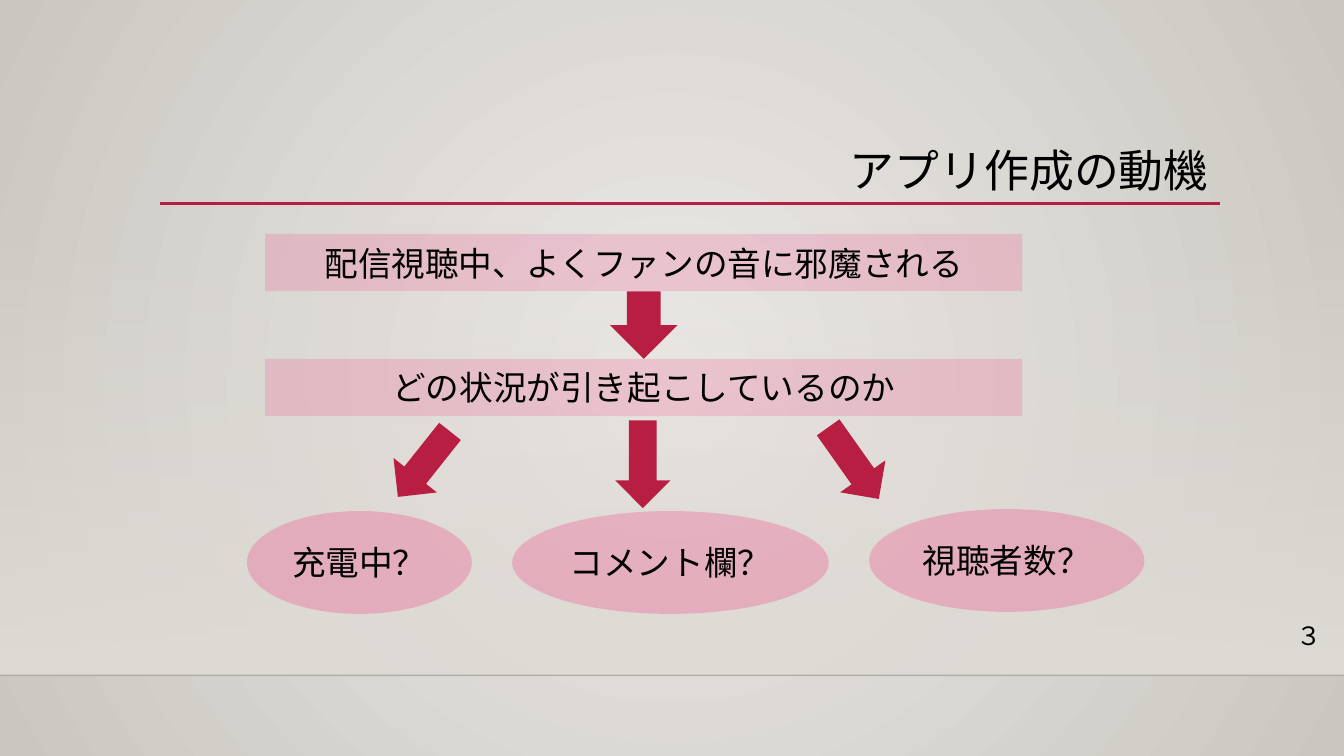
from dataclasses import dataclass

from lxml.etree import SubElement
from pptx import Presentation
from pptx.dml.color import RGBColor
from pptx.enum.shapes import MSO_CONNECTOR, MSO_SHAPE
from pptx.enum.text import MSO_ANCHOR, MSO_AUTO_SIZE, PP_ALIGN
from pptx.oxml.ns import qn
from pptx.util import Inches, Pt


@dataclass(frozen=True)
class Theme:
    font: str = "Calibri"
    ink: str = "000000"
    accent: str = "B71E42"
    pink: str = "F82174"
    glow: str = "ECEAE7"
    edge: str = "CAC7C1"
    wall: str = "DFDBD5"
    floor: str = "000001"
    title_size: int = 32
    body_size: int = 24
    number_size: int = 18


theme = Theme()
WIDTH, HEIGHT = 13.33, 7.5
FLOOR_TOP = 6.7


def write(shape, text, size, align, anchor=MSO_ANCHOR.MIDDLE):
    frame = shape.text_frame
    frame.vertical_anchor = anchor
    para = frame.paragraphs[0]
    para.alignment = align
    span = para.add_run()
    span.text = text
    for name, value in {"name": theme.font, "size": Pt(size)}.items():
        setattr(span.font, name, value)
    span.font.color.rgb = RGBColor.from_string(theme.ink)
    return para


def add_solid(page, kind, frame, color, opacity=100):
    """Add a borderless, shadowless shape; opacity is a percentage."""
    shape = page.shapes.add_shape(kind, *map(Inches, frame))
    shape.shadow.inherit = False
    shape.line.fill.background()
    shape.fill.solid()
    shape.fill.fore_color.rgb = RGBColor.from_string(color)
    if opacity < 100:
        tint = shape.element.spPr.find(".//" + qn("a:srgbClr"))
        SubElement(tint, qn("a:alpha"), val=str(opacity * 1000))
    return shape


deck = Presentation()
deck.slide_width, deck.slide_height = Inches(WIDTH), Inches(HEIGHT)
page = deck.slides.add_slide(deck.slide_layouts[5])

# Backdrop: radial glow, fading wall and floor line
backdrop = page.background.fill
backdrop.gradient()
for stop, color in zip(backdrop.gradient_stops, (theme.glow, theme.edge)):
    stop.color.rgb = RGBColor.from_string(color)
linear = page.element.find(".//" + qn("a:lin"))
gradient = linear.getparent()
gradient.remove(linear)
circle = SubElement(gradient, qn("a:path"), path="circle")
SubElement(circle, qn("a:fillToRect"), {side: "50000" for side in "ltrb"})

wall = add_solid(page, MSO_SHAPE.RECTANGLE, (0, 2.21, WIDTH, FLOOR_TOP - 2.21), theme.wall)
wall.fill.gradient()
wall.fill.gradient_angle = 270
for stop in wall.fill.gradient_stops:
    stop.color.rgb = RGBColor.from_string(theme.wall)
top_tint = wall.element.spPr.find(".//" + qn("a:srgbClr"))
SubElement(top_tint, qn("a:alpha"), val="0")

for left, right, y, color, weight, opacity in (
    (0, WIDTH, FLOOR_TOP, theme.floor, 1, 20),
    (1.59, 12.1, 2.02, theme.accent, 2.5, 100),
):
    rule = page.shapes.add_connector(
        MSO_CONNECTOR.STRAIGHT, Inches(left), Inches(y), Inches(right), Inches(y)
    )
    rule.line.color.rgb = RGBColor.from_string(color)
    rule.line.width = Pt(weight)
    tint = rule.element.spPr.find(".//" + qn("a:srgbClr"))
    SubElement(tint, qn("a:alpha"), val=str(opacity * 1000))
    SubElement(rule.element.spPr, qn("a:effectLst"))

# Title
title = page.shapes.title
title_frame = {"left": 1.59, "top": 1.41, "width": 10.5, "height": 0.61}
for name, value in title_frame.items():
    setattr(title, name, Inches(value))
title.text_frame.auto_size = MSO_AUTO_SIZE.NONE
heading = write(title, "アプリ作成の動機", theme.title_size, PP_ALIGN.RIGHT)
heading.line_spacing = 0.9

# Problem and question bars
BAR_LEFT, BAR_TOP, BAR_WIDTH, BAR_HEIGHT, BAR_STEP = 2.63, 2.32, 7.51, 0.57, 1.24
bars = ("配信視聴中、よくファンの音に邪魔される", "どの状況が引き起こしているのか")
for row, text in enumerate(bars):
    frame = (BAR_LEFT, BAR_TOP + row * BAR_STEP, BAR_WIDTH, BAR_HEIGHT)
    bar = add_solid(page, MSO_SHAPE.RECTANGLE, frame, theme.pink, 17)
    write(bar, text, theme.body_size, PP_ALIGN.CENTER)

# Candidate causes
for text, left, top, width in (
    ("充電中？", 2.45, 5.07, 2.23),
    ("コメント欄？", 5.08, 5.07, 3.14),
    ("視聴者数？", 8.62, 5.05, 2.73),
):
    cause = add_solid(page, MSO_SHAPE.OVAL, (left, top, width, 1.02), theme.pink, 24)
    write(cause, text, theme.body_size, PP_ALIGN.CENTER)

# Arrows: one between the bars, three fanning out to the causes
for left, top, width, height, turn in (
    (6.05, BAR_TOP + BAR_HEIGHT, 0.67, BAR_STEP - BAR_HEIGHT, 0),
    (3.93, 4.19, 0.55, 0.83, 38.5),
    (6.1, 4.17, 0.55, 0.87, 0),
    (8.19, 4.16, 0.55, 0.87, 324.7),
):
    arrow = add_solid(page, MSO_SHAPE.DOWN_ARROW, (left, top, width, height), theme.accent)
    arrow.rotation = turn

# Page number
number = page.shapes.add_textbox(*map(Inches, (12.76, 6.1, 0.45, 0.4)))
number.text_frame.word_wrap = False
number.text_frame.auto_size = MSO_AUTO_SIZE.SHAPE_TO_FIT_TEXT
write(number, "３", theme.number_size, PP_ALIGN.LEFT, MSO_ANCHOR.TOP)

deck.save("out.pptx")
